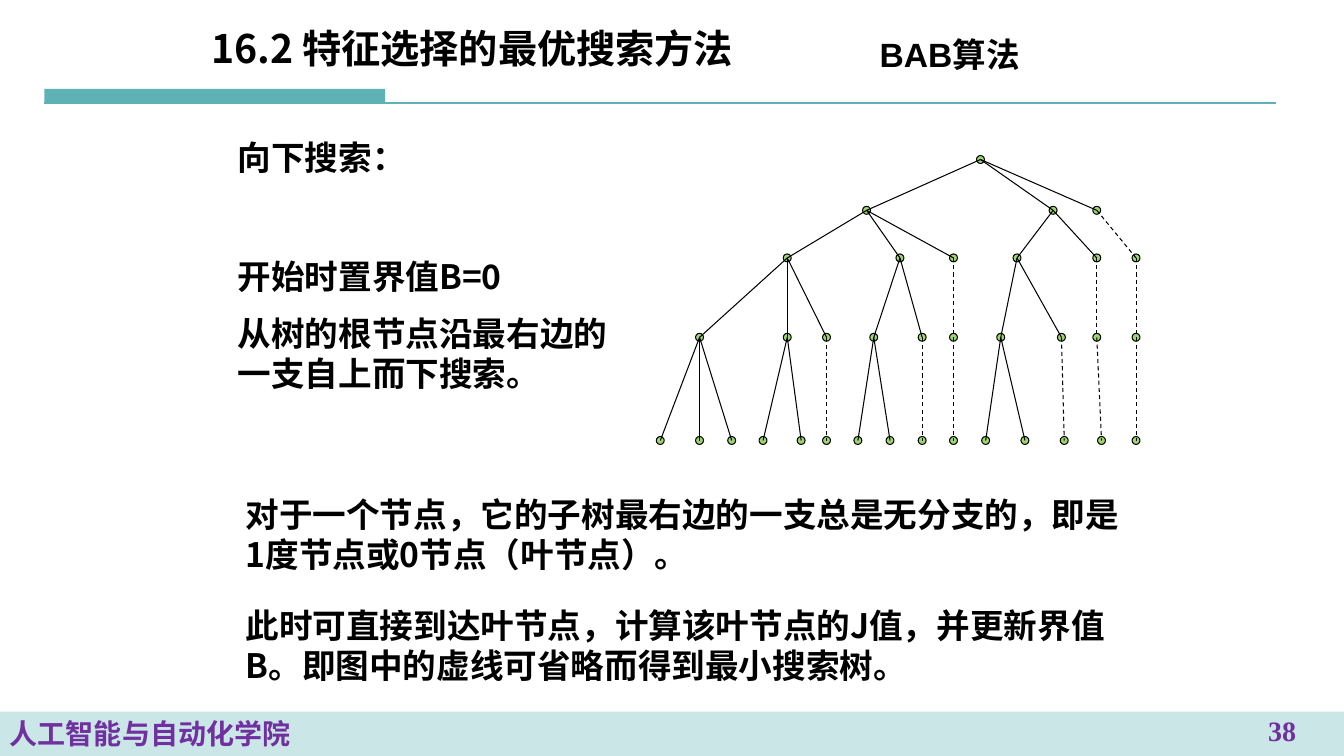
from lxml import etree
from pptx import Presentation
from pptx.dml.color import RGBColor
from pptx.enum import dml, shapes, text
from pptx.oxml import ns
from pptx.util import Cm, Pt

BLACK = RGBColor(0x00, 0x00, 0x00)
TEAL = RGBColor(0x5E, 0xB2, 0xB6)
GREEN = RGBColor(0x9F, 0xD5, 0x6D)
PURPLE = RGBColor(0x70, 0x30, 0xA0)
CJK = "Noto Sans CJK SC"

TITLE = ["16.2 特征选择的最优搜索方法"]
SUBTITLE = ["BAB算法"]
FOOTER = ["人工智能与自动化学院"]
PAGE_NUMBER = ["38"]
BODY = [
    ((5.74, 3.33, 10.8, 1.27), ["向下搜索："]),
    ((5.74, 6.32, 10.59, 3.84), ["开始时置界值B=0", "从树的根节点沿最右边的一支自上而下搜索。"]),
    ((5.94, 12.32, 22.61, 2.31),
     ["对于一个节点，它的子树最右边的一支总是无分支的，即是1度节点或0节点（叶节点）。"]),
    ((5.94, 15.11, 23.01, 2.31),
     ["此时可直接到达叶节点，计算该叶节点的J值，并更新界值B。即图中的虚线可省略而得到最小搜索树。"]),
]

LEVELS = [
    (4.02, [24.71]),
    (5.3, [21.84, 26.54, 27.64]),
    (6.5, [19.84, 22.68, 24.03, 25.63, 27.64, 28.63]),
    (8.5, [17.63, 19.84, 20.83, 22.02, 23.24, 24.03, 25.22, 26.75, 27.64, 28.63]),
    (11.1, [16.64, 17.63, 18.44, 19.23, 20.19, 20.83, 21.62, 22.43, 23.24, 24.03,
            24.84, 25.83, 26.82, 27.76, 28.63]),
]
CHILD_COUNTS = [[3], [3, 2, 1], [3, 2, 1, 2, 1, 1], [3, 2, 1, 2, 1, 1, 2, 1, 1, 1]]
NODE_SIZE = 0.2

deck = Presentation()
deck.slide_width, deck.slide_height = Cm(33.87), Cm(19.05)
page = deck.slides.add_slide(deck.slide_layouts[6])


def add_solid(kind, place, fill):
    shape = page.shapes.add_shape(kind, *map(Cm, place))
    shape.shadow.inherit = False
    shape.fill.solid()
    shape.fill.fore_color.rgb = fill
    shape.line.fill.background()
    return shape


def add_line(start, end, color, width, dashed=False):
    line = page.shapes.add_connector(
        shapes.MSO_CONNECTOR.STRAIGHT, *map(Cm, start + end))
    line.line.color.rgb = color
    line.line.width = Pt(width)
    if dashed:
        line.line.dash_style = dml.MSO_LINE.DASH
    etree.SubElement(line._element.spPr, ns.qn("a:effectLst"))


def write(shape, lines, size=24, font=CJK, color=BLACK,
          align=text.PP_ALIGN.LEFT, anchor=text.MSO_ANCHOR.TOP):
    frame = shape.text_frame
    frame.word_wrap = True
    frame.vertical_anchor = anchor
    frame.text = "\n".join(lines)
    for index, para in enumerate(frame.paragraphs):
        para.alignment = align
        if index:
            para.space_before = Pt(size / 2)
        para.font.name = font
        para.font.size = Pt(size)
        para.font.bold = True
        para.font.color.rgb = color
        for span in para.runs:
            etree.SubElement(span.font._element, ns.qn("a:ea"), typeface=CJK)


def add_text(place, lines, **style):
    write(page.shapes.add_textbox(*map(Cm, place)), lines, **style)


add_solid(shapes.MSO_SHAPE.RECTANGLE, (1.12, 2.24, 8.59, 0.36), TEAL)
add_line((1.12, 2.59), (32.16, 2.59), TEAL, 1.5)
footer = add_solid(shapes.MSO_SHAPE.RECTANGLE, (0, 17.93, 33.87, 1.12), TEAL)
tint = footer.fill._xPr.find(".//" + ns.qn("a:srgbClr"))
etree.SubElement(tint, ns.qn("a:alpha"), val="32000")
write(footer, FOOTER, size=20, font="Arial", color=PURPLE,
      anchor=text.MSO_ANCHOR.MIDDLE)

for y, columns in LEVELS:
    for x in columns:
        node = add_solid(
            shapes.MSO_SHAPE.OVAL,
            (x - NODE_SIZE / 2, y - NODE_SIZE / 2, NODE_SIZE, NODE_SIZE), GREEN)
        node.line.color.rgb = BLACK
        node.line.width = Pt(0.75)

for (y, parents), (child_y, children), counts in zip(LEVELS, LEVELS[1:], CHILD_COUNTS):
    remaining = iter(children)
    for x, count in zip(parents, counts):
        for _ in range(count):
            add_line((x, y), (next(remaining), child_y), BLACK, 0.75, dashed=count == 1)

for place, lines in BODY:
    add_text(place, lines)
add_text((30.76, 17.86, 3.1, 0.99), PAGE_NUMBER, size=20, font="Times New Roman",
         color=PURPLE, align=text.PP_ALIGN.CENTER)
add_text((21.92, 0.74, 4.8, 1.27), SUBTITLE, font="Arial")
add_text((5.08, 0.43, 17.15, 1.57), TITLE, size=28, anchor=text.MSO_ANCHOR.MIDDLE)

deck.save("out.pptx")
